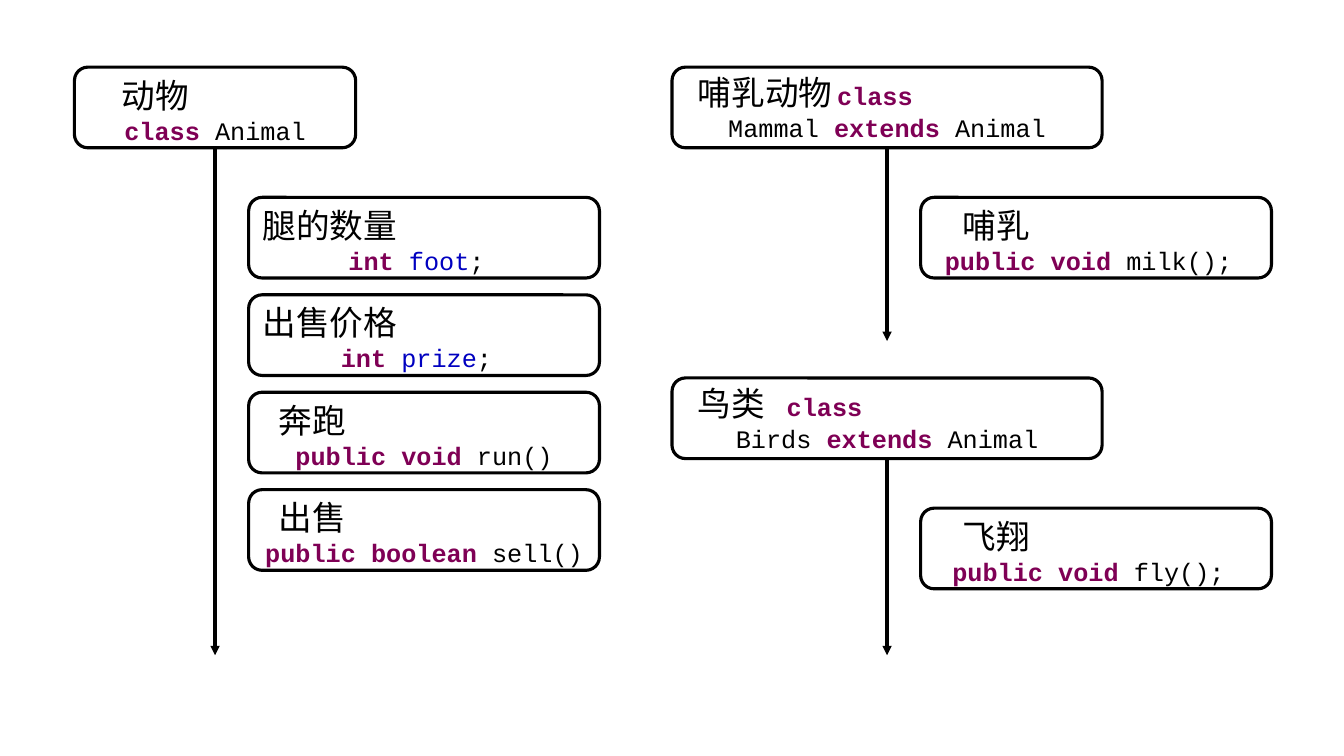
from dataclasses import dataclass

from lxml.etree import SubElement
from pptx import Presentation
from pptx.dml.color import RGBColor as Rgb
from pptx.enum.shapes import MSO_CONNECTOR as Connector, MSO_SHAPE as Preset
from pptx.enum.text import MSO_ANCHOR as Anchor, PP_ALIGN as Align
from pptx.oxml.ns import qn
from pptx.util import Inches, Pt


@dataclass(frozen=True)
class Theme:
    ink: Rgb = Rgb(0x00, 0x00, 0x00)
    paper: Rgb = Rgb(0xFF, 0xFF, 0xFF)
    keyword: Rgb = Rgb(0x7F, 0x00, 0x55)
    field: Rgb = Rgb(0x00, 0x00, 0xC0)
    label_font: str = "Noto Sans CJK SC"
    code_font: str = "Courier New"
    label_size: Pt = Pt(24)
    code_size: Pt = Pt(18)
    stroke: Pt = Pt(2.25)


class ClassDiagram:
    """Draws class boxes, member boxes and lifelines on a 40 by 45 grid."""

    COLUMNS, ROWS = 40, 45
    BOX_ROWS = 4.8
    MEMBER_COLUMNS = 10.44
    MEMBER_OFFSET = 7.75
    MEMBER_STEP = 5.8

    def __init__(self, deck, theme):
        self.theme = theme
        self.column = deck.slide_width / self.COLUMNS
        self.row = deck.slide_height / self.ROWS
        self.slide = deck.slides.add_slide(deck.slide_layouts[6])

    def x(self, columns):
        return round(columns * self.column)

    def y(self, rows):
        return round(rows * self.row)

    def label(self, paragraph, text):
        run = paragraph.add_run()
        run.text = text
        run.font.name = self.theme.label_font
        run.font.size = self.theme.label_size
        run.font.color.rgb = self.theme.ink
        SubElement(run.font._element, qn("a:ea"), typeface=self.theme.label_font)

    def code(self, paragraph, text, kind):
        run = paragraph.add_run()
        run.text = text
        run.font.name = self.theme.code_font
        run.font.size = self.theme.code_size
        run.font.bold = kind == "keyword"
        run.font.color.rgb = getattr(self.theme, kind)

    def box(self, left, top, width, name, indent, declaration, lead=None):
        box = self.slide.shapes.add_shape(
            Preset.ROUNDED_RECTANGLE,
            self.x(left), self.y(top), self.x(width), self.y(self.BOX_ROWS))
        box.shadow.inherit = False
        box.fill.solid()
        box.fill.fore_color.rgb = self.theme.paper
        box.line.color.rgb = self.theme.ink
        box.line.width = self.theme.stroke

        frame = box.text_frame
        frame.word_wrap = True
        frame.vertical_anchor = Anchor.MIDDLE
        frame.margin_top = Inches(0 if lead else 0.05)
        frame.margin_bottom = 0

        heading = frame.paragraphs[0]
        heading.alignment = Align.LEFT
        properties = heading._p.get_or_add_pPr()
        properties.set("indent", str(Inches(indent)))
        self.label(heading, name)
        if lead:
            tabs = SubElement(properties, qn("a:tabLst"))
            SubElement(tabs, qn("a:tab"), pos=str(Inches(3.85)), algn="r")
            self.code(heading, "\t" + lead, "keyword")

        signature = frame.add_paragraph()
        signature.alignment = Align.CENTER
        for text, kind in declaration:
            self.code(signature, text, kind)
        return box

    def lifeline(self, owner, axis, end):
        line = self.slide.shapes.add_connector(
            Connector.STRAIGHT, self.x(axis), owner.top + owner.height,
            self.x(axis), self.y(end))
        line.begin_connect(owner, 2)
        line.line.color.rgb = self.theme.ink
        line.line.width = self.theme.stroke
        SubElement(line.line._get_or_add_ln(), qn("a:tailEnd"), type="triangle")
        SubElement(line._element.spPr, qn("a:effectLst"))

    def family(self, axis, top, width, end, header, members):
        owner = self.box(axis - width / 2, top, width, *header)
        self.lifeline(owner, axis, end)
        for order, member in enumerate(members):
            self.box(axis + 1, top + self.MEMBER_OFFSET + order * self.MEMBER_STEP,
                     self.MEMBER_COLUMNS, *member)


def subclass(name, title):
    return (name, 0.12,
            [(title + " ", "ink"), ("extends ", "keyword"), ("Animal", "ink")],
            "class")


def method(name, indent, modifiers, call):
    return name, indent, [(modifiers + " ", "keyword"), (call, "ink")]


def attribute(name, title):
    return name, 0, [("int ", "keyword"), (title, "field"), ("; ", "ink")]


def main():
    deck = Presentation()
    deck.slide_width, deck.slide_height = Inches(13.33), Inches(7.5)
    diagram = ClassDiagram(deck, Theme())

    diagram.family(6.4, 4, 8.37, 39, method("动物", 0.33, "class", "Animal"), [
        attribute("腿的数量", "foot"),
        attribute("出售价格", "prize"),
        method("奔跑", 0.16, "public void", "run()"),
        method("出售", 0.16, "public boolean", "sell()"),
    ])
    diagram.family(26.4, 4, 12.8, 20.3, subclass("哺乳动物", "Mammal"), [
        method("哺乳", 0.28, "public void", "milk(); "),
    ])
    diagram.family(26.4, 22.5, 12.8, 39, subclass("鸟类", "Birds"), [
        method("飞翔", 0.28, "public void", "fly(); "),
    ])
    deck.save("out.pptx")


if __name__ == "__main__":
    main()
